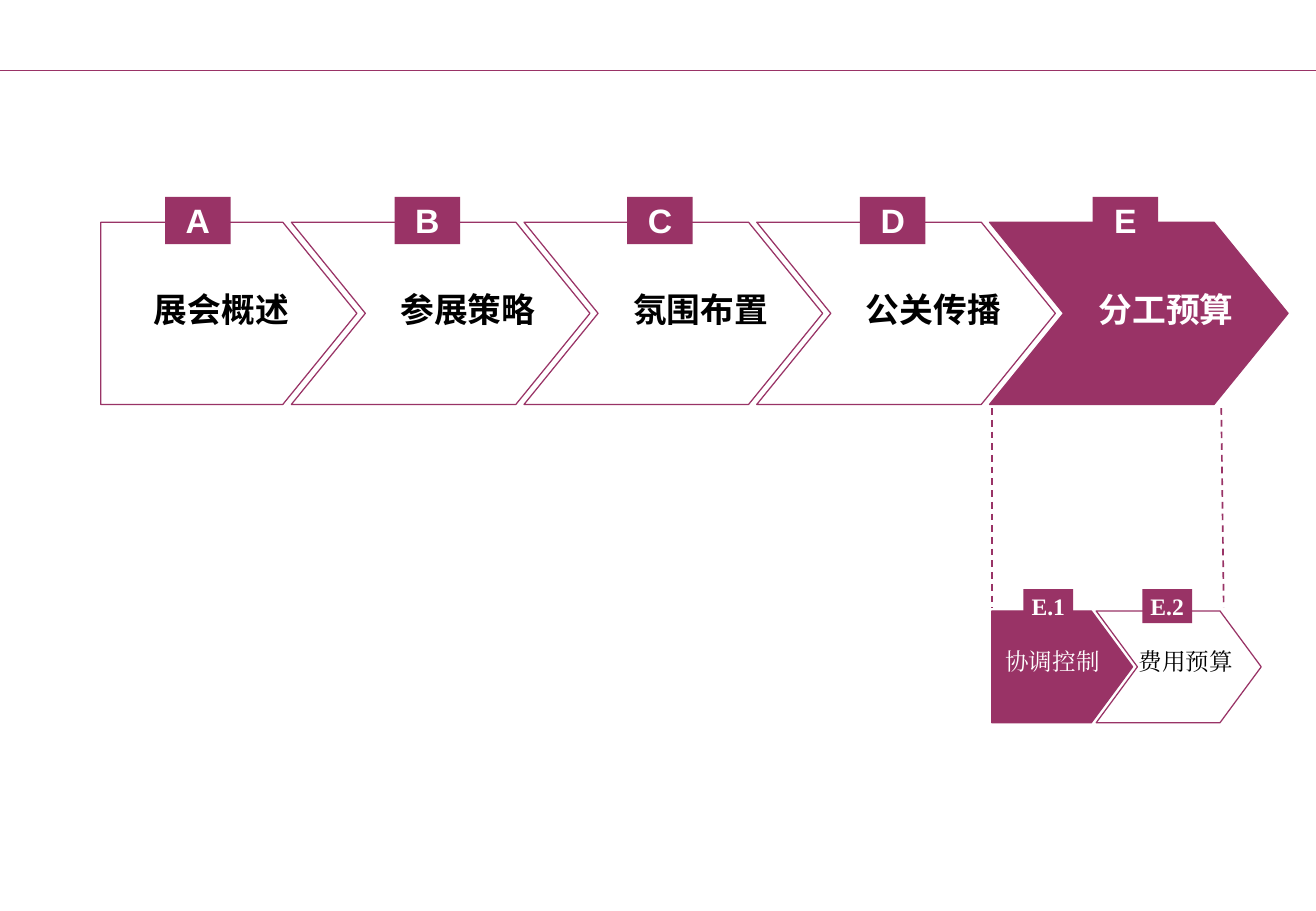
from pptx import Presentation
from pptx.dml.color import RGBColor
from pptx.enum.dml import MSO_LINE
from pptx.enum.shapes import MSO_CONNECTOR, MSO_SHAPE
from pptx.enum.text import MSO_ANCHOR, PP_ALIGN
from pptx.oxml.ns import qn
from pptx.util import Inches, Pt

RECTANGLE = MSO_SHAPE.RECTANGLE
STRAIGHT = MSO_CONNECTOR.STRAIGHT
DASH = MSO_LINE.DASH
CENTER = PP_ALIGN.CENTER
TOP, MIDDLE = MSO_ANCHOR.TOP, MSO_ANCHOR.MIDDLE

WIDTH, HEIGHT = 10.84, 7.5
PLUM, WHITE, BLACK = "993366", "FFFFFF", "000000"
SANS, CHINESE, SERIF = "Arial", "Noto Sans CJK SC", "Times New Roman"

STEPS = ["展会概述", "参展策略", "氛围布置", "公关传播", "分工预算"]
STEP_TOP, STEP_HEIGHT, STEP_TIP = 1.83, 1.5, 0.61
STEP_LEFT, STEP_PITCH, STEP_WIDTH = 2.4, 1.917, 2.46
SUBSTEPS = [
    # label, left, width, label left, badge left
    ("协调控制", 8.17, 1.16, 8.28, 8.43),
    ("费用预算", 9.03, 1.36, 9.38, 9.41),
]
SUBSTEP_TOP, SUBSTEP_HEIGHT, SUBSTEP_TIP = 5.03, 0.92, 0.34


def rgb(value):
    return RGBColor.from_string(value)


def add_text(shape, text, size, font_name, color, bold=False,
             margins=(0, 0), anchor=TOP, align=None, wrap=True):
    frame = shape.text_frame
    frame.word_wrap = wrap
    frame.vertical_anchor = anchor
    frame.margin_left = frame.margin_right = Inches(margins[0])
    frame.margin_top = frame.margin_bottom = Inches(margins[1])
    paragraph = frame.paragraphs[0]
    paragraph.alignment = align
    run = paragraph.add_run()
    run.text = text
    font = run.font
    font.size, font.bold, font.name = Pt(size), bold, font_name
    font.color.rgb = rgb(color)
    east_asian = run._r.get_or_add_rPr().makeelement(qn("a:ea"), {"typeface": font_name})
    run._r.rPr.find(qn("a:latin")).addnext(east_asian)


def add_label(slide, box, text, size, font_name, color, **options):
    label = slide.shapes.add_textbox(*map(Inches, box))
    add_text(label, text, size, font_name, color, **options)


def add_badge(slide, box, text, size, font_name):
    badge = slide.shapes.add_shape(RECTANGLE, *map(Inches, box))
    badge.shadow.inherit = False
    badge.fill.solid()
    badge.fill.fore_color.rgb = rgb(PLUM)
    badge.line.fill.background()
    add_text(badge, text, size, font_name, WHITE, bold=True,
             anchor=MIDDLE, align=CENTER, wrap=False)


def add_arrow(slide, box, tip, notched, fill):
    """Draw a block arrow; a notched one has its tail cut in by the tip's depth."""
    left, top, width, height = box
    right, middle, bottom = left + width, top + height / 2, top + height
    points = [(left, top), (right - tip, top), (right, middle),
              (right - tip, bottom), (left, bottom)]
    if notched:
        points.append((left + tip, middle))
    start, *others = [(Inches(x), Inches(y)) for x, y in points]
    builder = slide.shapes.build_freeform(*start)
    builder.add_line_segments(others, close=True)
    arrow = builder.convert_to_shape()
    arrow.shadow.inherit = False
    if fill:
        arrow.fill.solid()
        arrow.fill.fore_color.rgb = rgb(fill)
    else:
        arrow.fill.background()
    arrow.line.color.rgb = rgb(PLUM)
    arrow.line.width = Pt(0.75)


def add_line(slide, ends, width, dash=None):
    line = slide.shapes.add_connector(STRAIGHT, *map(Inches, ends))
    line.line.color.rgb = rgb(PLUM)
    line.line.width = Pt(width)
    if dash:
        line.line.dash_style = dash
    properties = line._element.spPr
    properties.append(properties.makeelement(qn("a:effectLst"), {}))


def add_step(slide, index, text):
    first, active = index == 0, index == len(STEPS) - 1
    if first:
        left, width, label_left, label_width, badge_left = 0.83, 2.11, 1.17, 1.36, 1.36
    else:
        left, width = STEP_LEFT + (index - 1) * STEP_PITCH, STEP_WIDTH
        label_left, label_width, badge_left = left + 0.8, 1.6, left + 0.85
    add_arrow(slide, (left, STEP_TOP, width, STEP_HEIGHT), STEP_TIP,
              not first, PLUM if active else WHITE)
    add_label(slide, (label_left, STEP_TOP + 0.5, label_width, 0.44), text, 20, CHINESE,
              WHITE if active else BLACK, bold=True, margins=(0.1, 0.05))
    add_badge(slide, (badge_left, STEP_TOP - 0.21, 0.54, 0.39), "ABCDE"[index], 20, SANS)


def add_substep(slide, index, text, left, width, label_left, badge_left):
    active = index == 0
    add_arrow(slide, (left, SUBSTEP_TOP, width, SUBSTEP_HEIGHT), SUBSTEP_TIP,
              not active, PLUM if active else None)
    add_badge(slide, (badge_left, SUBSTEP_TOP - 0.18, 0.41, 0.28),
              f"E.{index + 1}", 14, SERIF)
    add_label(slide, (label_left, SUBSTEP_TOP + 0.3, 0.91, 0.23), text, 14, SERIF,
              WHITE if active else BLACK)


def main():
    presentation = Presentation()
    presentation.slide_width, presentation.slide_height = Inches(WIDTH), Inches(HEIGHT)
    slide = presentation.slides.add_slide(presentation.slide_layouts[6])
    add_line(slide, (0, 0.58, WIDTH, 0.58), 0.75)
    for index, text in enumerate(STEPS):
        add_step(slide, index, text)
    for start, end in [(8.17, 8.17), (10.06, 10.08)]:
        add_line(slide, (start, 3.36, end, 5), 1, DASH)
    for index, substep in enumerate(SUBSTEPS):
        add_substep(slide, index, *substep)
    presentation.save("out.pptx")


if __name__ == "__main__":
    main()
